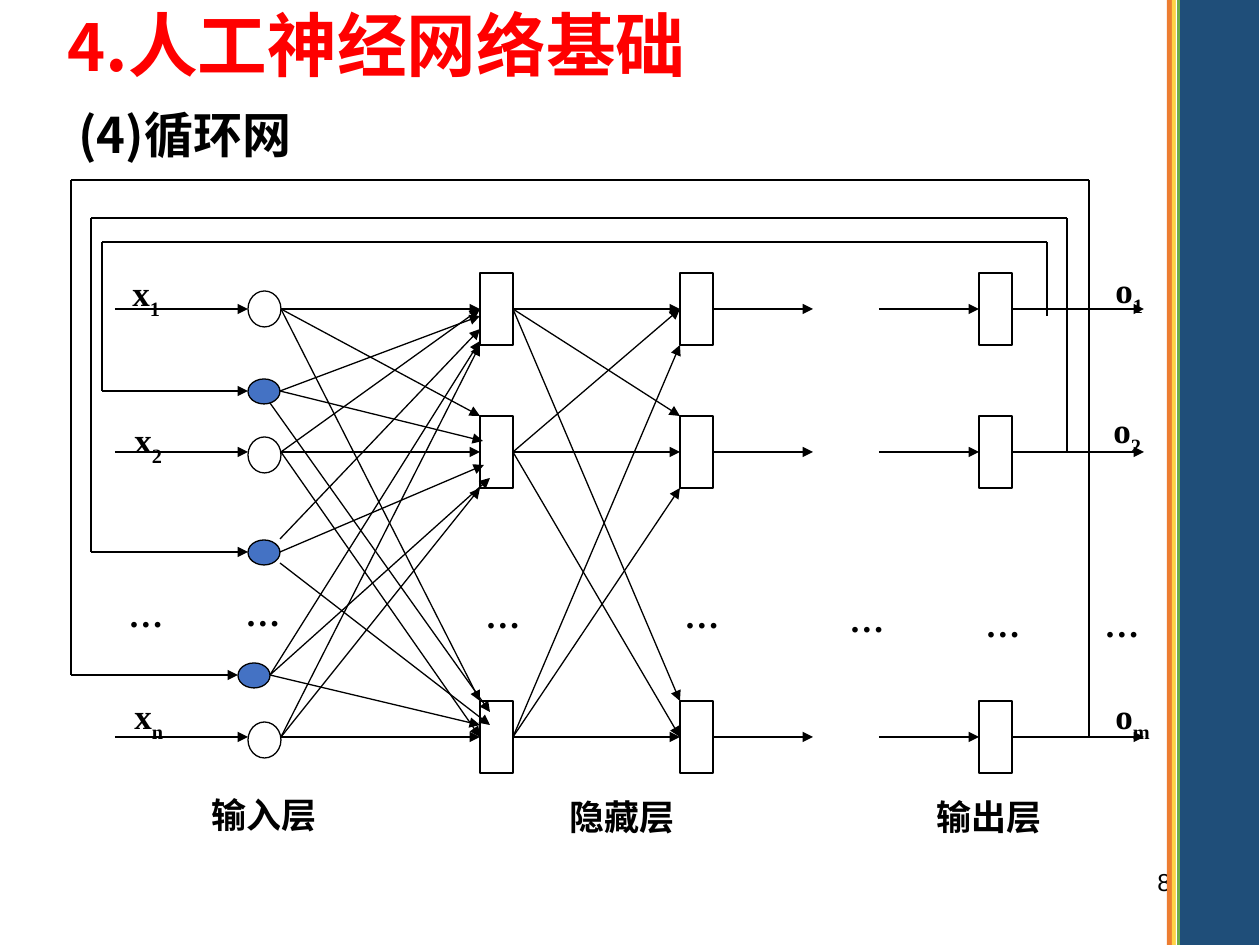
import itertools
from dataclasses import dataclass

import lxml.etree
import pptx
import pptx.dml.color
import pptx.enum.shapes
import pptx.enum.text
import pptx.oxml.ns
import pptx.util

PX = 914400 / 126
SHAPE = pptx.enum.shapes.MSO_SHAPE
ALIGN = pptx.enum.text.PP_ALIGN
ANCHOR = pptx.enum.text.MSO_ANCHOR
qn = pptx.oxml.ns.qn


@dataclass(frozen=True)
class Theme:
    black: str = "000000"
    white: str = "FFFFFF"
    red: str = "FF0000"
    node: str = "4472C4"
    navy: str = "1F4E79"
    orange: str = "ED7D31"
    yellow: str = "FFD347"
    green: str = "70AD47"
    cjk: str = "Noto Sans CJK SC"
    serif: str = "Times New Roman"
    sans: str = "Arial"
    title: float = 39.8
    title_number: float = 37
    subtitle: float = 28
    label: float = 20
    page: float = 14
    line: float = 0.75


T = Theme()
ROWS = (309, 452, 737)
INPUT_TOPS = (291, 437, 722)
RECT_W, RECT_H = 33, 72
RECT_XS = (480, 680, 979)


def emu(n):
    return round(n * PX)


def rgb(color):
    return pptx.dml.color.RGBColor.from_string(color)


def add_box(s, kind, x, y, w, h, fill, outlined=True):
    sp = s.shapes.add_shape(kind, emu(x), emu(y), emu(w), emu(h))
    sp.shadow.inherit = False
    sp.fill.solid()
    sp.fill.fore_color.rgb = rgb(fill)
    if outlined:
        sp.line.color.rgb = rgb(T.black)
        sp.line.width = pptx.util.Pt(T.line)
    else:
        sp.line.fill.background()
    return sp


def add_line(s, start, end, arrow=True, source=None, target=None):
    c = s.shapes.add_connector(
        pptx.enum.shapes.MSO_CONNECTOR.STRAIGHT, *map(emu, start + end))
    if source is not None:
        c.begin_connect(source, 3)
    if target is not None:
        c.end_connect(target, 1)
    c.line.color.rgb = rgb(T.black)
    c.line.width = pptx.util.Pt(T.line)
    if arrow:
        ln = c.line._get_or_add_ln()
        lxml.etree.SubElement(ln, qn("a:tailEnd"), type="triangle")
    lxml.etree.SubElement(c._element.spPr, qn("a:effectLst"))


def add_text(s, box, runs, font, size, color=T.black, bold=True, wrap=True,
             east_asian=None, spacing=None, align=None, anchor=ANCHOR.TOP):
    tf = s.shapes.add_textbox(*map(emu, box)).text_frame
    tf.word_wrap = wrap
    tf.vertical_anchor = anchor
    if not wrap:
        tf.auto_size = pptx.enum.text.MSO_AUTO_SIZE.SHAPE_TO_FIT_TEXT
    p = tf.paragraphs[0]
    p.alignment = align
    p.line_spacing = spacing
    p.font.size = pptx.util.Pt(size)
    p.font.bold = bold
    p.font.name = font
    p.font.color.rgb = rgb(color)
    if east_asian:
        props = p._p.pPr.find(qn("a:defRPr"))
        lxml.etree.SubElement(props, qn("a:ea"), typeface=east_asian)
    added = []
    for text in runs:
        r = p.add_run()
        r.text = text
        added.append(r)
    return added


def add_label(s, x, y, w, text, subscript=None, east_asian=None):
    runs = [text, subscript] if subscript else [text]
    added = add_text(s, (x, y, w, 55), runs, T.serif, T.label,
                     wrap=False, east_asian=east_asian)
    if subscript:
        added[1]._r.get_or_add_rPr().set("baseline", "-30000")


def add_layer_links(s, x1, x2, sources, targets):
    for a, b in itertools.product(range(3), repeat=2):
        shift = 0 if a == b else (a - 1) * RECT_H // 2
        add_line(s, (x1, ROWS[a]), (x2, ROWS[b] + shift),
                 source=sources[a], target=None if shift else targets[b])


def add_network(s):
    for y in INPUT_TOPS:
        add_box(s, SHAPE.OVAL, 248, y, 33, 36, T.white)
    first, second, output = [
        [add_box(s, SHAPE.RECTANGLE, x, y - RECT_H // 2, RECT_W, RECT_H, T.white)
         for y in ROWS] for x in RECT_XS]
    none = [None] * 3
    for x1, x2, sources, targets in (
            (115, 248, none, none), (713, 813, second, none),
            (879, 979, none, output), (1012, 1144, output, none)):
        for y, source, target in zip(ROWS, sources, targets):
            add_line(s, (x1, y), (x2, y), source=source, target=target)
    add_layer_links(s, 281, 480, none, first)
    add_layer_links(s, 513, 680, first, second)


def add_feedback(s):
    loops = (
        (1047, 316, 242, 102, 391, 248),
        (1067, 452, 218, 91, 552, 248),
        (1089, 737, 180, 71, 675, 238),
    )
    for right, start, top, left, y, tip in loops:
        add_box(s, SHAPE.OVAL, tip, y - 12, 32, 25, T.node)
        corners = [(right, start), (right, top), (left, top), (left, y), (tip, y)]
        for a, b in itertools.pairwise(corners):
            add_line(s, a, b, arrow=b == corners[-1])
    links = (
        ((280, 391), (480, 316)), ((280, 391), (483, 441)),
        ((270, 403), (490, 712)), ((280, 539), (480, 329)),
        ((280, 552), (484, 465)), ((280, 563), (490, 725)),
        ((270, 675), (480, 341)), ((270, 675), (490, 478)),
        ((270, 675), (480, 725)),
    )
    for start, end in links:
        add_line(s, start, end)


def add_labels(s):
    for x, y, w, text, subscript in (
            (120, 265, 54, "x", "1"), (122, 412, 54, "x", "2"),
            (122, 688, 55, "x", "n"), (1103, 262, 54, "o", "1"),
            (1101, 402, 54, "o", "2"), (1103, 688, 62, "o", "m")):
        add_label(s, x, y, w, text, subscript)
    for x, y, text in ((199, 787, "输入层"), (557, 789, "隐藏层"),
                       (924, 789, "输出层")):
        add_label(s, x, y, 131, text, east_asian=T.cjk)
    for x, y in ((116, 586), (233, 585), (473, 587), (672, 587),
                 (837, 591), (973, 596), (1092, 596)):
        add_label(s, x, y, 60, "…")


def add_side_bars(s):
    for x, w, color in ((1172, 87, T.navy), (1167, 5, T.orange),
                        (1172, 4, T.yellow), (1176, 4, T.green),
                        (1176, 1, T.white)):
        add_box(s, SHAPE.RECTANGLE, x, 0, w, 945, color, outlined=False)


def main():
    prs = pptx.Presentation()
    prs.slide_width, prs.slide_height = emu(1260), emu(945)
    s = prs.slides.add_slide(prs.slide_layouts[6])
    add_text(s, (903, 861, 294, 66), ["89"], T.sans, T.page,
             bold=False, align=ALIGN.RIGHT)
    add_text(s, (66, 94, 386, 88), ["(4)循环网"], T.cjk, T.subtitle,
             east_asian=T.cjk, spacing=0.9, anchor=ANCHOR.MIDDLE)
    add_network(s)
    add_labels(s)
    add_feedback(s)
    add_side_bars(s)
    number, _ = add_text(s, (55, 19, 791, 77), ["4", ".人工神经网络基础"],
                         T.cjk, T.title, T.red, east_asian=T.cjk, spacing=0.7)
    number.font.size = pptx.util.Pt(T.title_number)
    prs.save("out.pptx")


if __name__ == "__main__":
    main()
